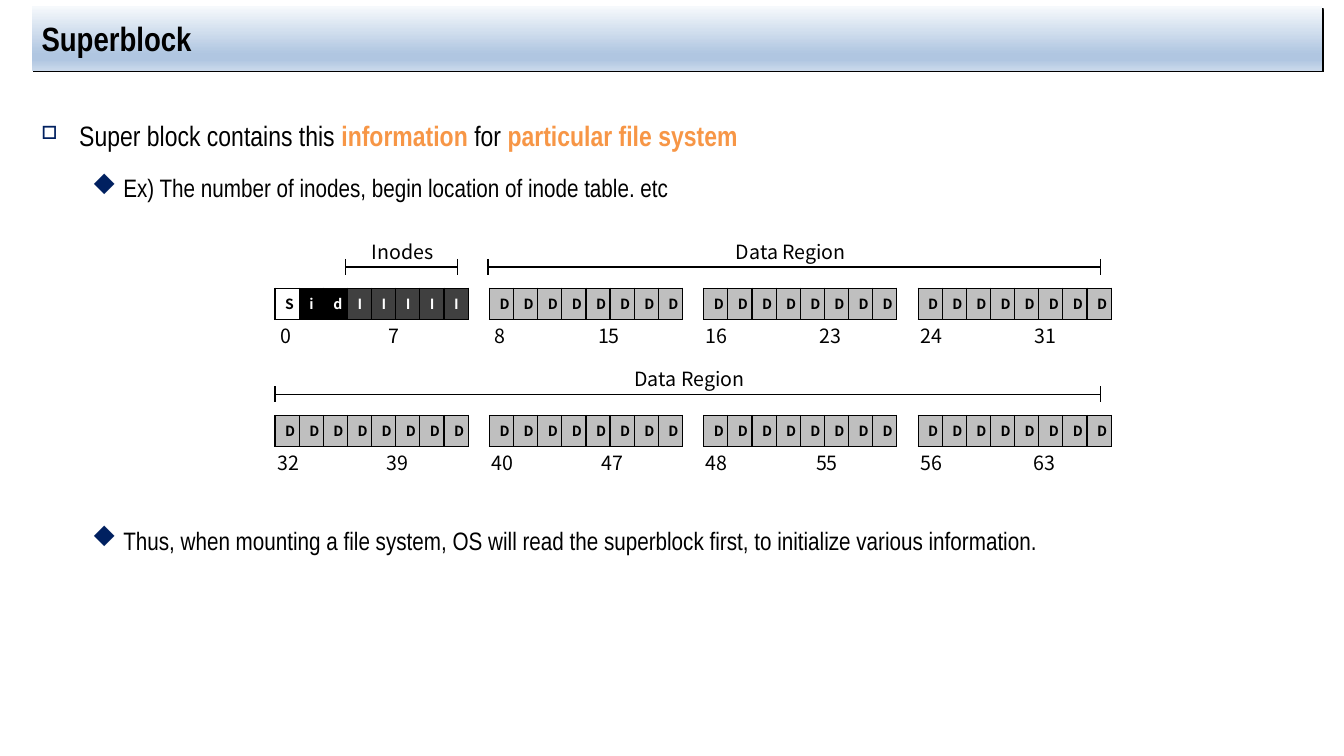
import pptx
import pptx.dml.color
import pptx.enum.shapes
import pptx.enum.text
import pptx.oxml
import pptx.util
from dataclasses import dataclass
from pptx.util import Pt

NAMESPACE = 'xmlns:a="http://schemas.openxmlformats.org/drawingml/2006/main"'


@dataclass(frozen=True)
class Theme:
    heading_font: str = "Arial Narrow"
    diagram_font: str = "Noto Sans CJK KR"
    bullet_font: str = "Wingdings"
    black: str = "000000"
    white: str = "FFFFFF"
    accent: str = "F79646"
    bullet: str = "002060"
    inode: str = "404040"
    data: str = "BFBFBF"
    title_stops: tuple = ((0, "F6F9FC"), (74, "B0C6E1"), (83, "B0C6E1"), (100, "CAD9EB"))
    title_size: int = 24
    body_size: int = 20
    detail_size: int = 18
    label_size: int = 14
    cell_size: int = 10


THEME = Theme()

# Wingdings codes of the bullet symbols
SQUARE, DIAMOND = "o", "u"

# Block groups: first number, last number, x of the last number from the group's left
TOP_GROUPS = [("0", "7", 81.4), ("8", "15", 77.7), ("16", "23", 83.1), ("24", "31", 83.5)]
BOTTOM_GROUPS = [("32", "39", 79.9), ("40", "47", 80.2), ("48", "55", 80.3), ("56", "63", 82.8)]
GROUP_WIDTH, GROUP_HEIGHT, GROUP_PITCH = 131.2, 22.3, 153.1


def xml(text):
    return pptx.oxml.parse_xml(text.replace(" NS", " " + NAMESPACE, 1))


def color(value):
    return pptx.dml.color.RGBColor.from_string(value)


def add_text(paragraph, text, font=THEME.diagram_font, size=THEME.label_size,
             fill=THEME.black, bold=False):
    run = paragraph.add_run()
    run.text = text
    run.font.name = font
    run.font.size = Pt(size)
    run.font.bold = bold
    run.font.color.rgb = color(fill)


def add_text_box(slide, left, top, width, height):
    frame = slide.shapes.add_textbox(Pt(left), Pt(top), Pt(width), Pt(height)).text_frame
    frame.word_wrap = True
    return frame


def add_line(slide, x1, y1, x2, y2):
    connector = slide.shapes.add_connector(
        pptx.enum.shapes.MSO_CONNECTOR.STRAIGHT, Pt(x1), Pt(y1), Pt(x2), Pt(y2))
    connector.line.color.rgb = color(THEME.black)
    connector.line.width = Pt(1)
    connector._element.spPr.append(xml("<a:effectLst NS/>"))


def add_title(slide, left, top, width, height):
    title = slide.shapes.title
    title.left, title.top, title.width, title.height = Pt(left), Pt(top), Pt(width), Pt(height)
    frame = title.text_frame
    frame.vertical_anchor = pptx.enum.text.MSO_ANCHOR.MIDDLE
    frame.paragraphs[0].alignment = pptx.enum.text.PP_ALIGN.LEFT
    add_text(frame.paragraphs[0], "Superblock", font=THEME.heading_font,
             size=THEME.title_size, bold=True)
    # Gradient and thin shadow along the right and bottom edges
    stops = "".join(f'<a:gs pos="{position * 1000}"><a:srgbClr val="{value}"/></a:gs>'
                    for position, value in THEME.title_stops)
    properties = title._element.spPr
    properties.append(xml('<a:prstGeom NS prst="rect"><a:avLst/></a:prstGeom>'))
    properties.append(xml(f'<a:gradFill NS rotWithShape="1"><a:gsLst>{stops}</a:gsLst>'
                          '<a:lin ang="5400000" scaled="0"/></a:gradFill>'))
    properties.append(xml(f'<a:effectLst NS><a:outerShdw dist="{Pt(1.4)}" dir="2700000" '
                          f'algn="tl" rotWithShape="0"><a:srgbClr val="{THEME.black}"/>'
                          '</a:outerShdw></a:effectLst>'))


def format_bullet(paragraph, symbol, margin, hanging, scale, level, space_before):
    paragraph.level = level
    paragraph.line_spacing = 1.5
    paragraph.space_before = Pt(space_before)
    properties = paragraph._p.get_or_add_pPr()
    properties.set("marL", str(Pt(margin)))
    properties.set("indent", str(-Pt(hanging)))
    properties.append(xml(f'<a:buClr NS><a:srgbClr val="{THEME.bullet}"/></a:buClr>'))
    properties.append(xml(f'<a:buSzPct NS val="{scale * 1000}"/>'))
    properties.append(xml(f'<a:buFont NS typeface="{THEME.bullet_font}" '
                          'pitchFamily="2" charset="2"/>'))
    properties.append(xml(f'<a:buChar NS char="{symbol}"/>'))


def add_body(slide, left, top, width, height):
    frame = add_text_box(slide, left, top, width, height)
    statement = frame.paragraphs[0]
    format_bullet(statement, SQUARE, 27, 27, 65, 0, 4)
    for text, emphasis in [("Super block contains this ", False), ("information ", True),
                           ("for ", False), ("particular file system", True)]:
        add_text(statement, text, font=THEME.heading_font, size=THEME.body_size, bold=emphasis,
                 fill=THEME.accent if emphasis else THEME.black)
    # The second detail stands below the diagram
    for text, space_before in [
            ("Ex) The number of inodes, begin location of inode table. etc", 3.6),
            ("Thus, when mounting a file system, OS will read the superblock first, "
             "to initialize various information.", 219.6)]:
        detail = frame.add_paragraph()
        format_bullet(detail, DIAMOND, 58.5, 22.5, 100, 1, space_before)
        add_text(detail, text, font=THEME.heading_font, size=THEME.detail_size)


def add_group(slide, left, top, letters):
    styles = {"S": (THEME.white, THEME.black), "i": (THEME.black, THEME.white),
              "d": (THEME.black, THEME.white), "I": (THEME.inode, THEME.white),
              "D": (THEME.data, THEME.black)}
    table = slide.shapes.add_table(1, len(letters), Pt(left), Pt(top),
                                   Pt(GROUP_WIDTH), Pt(GROUP_HEIGHT)).table
    table.first_row = table.horz_banding = False
    for cell, letter in zip(table.iter_cells(), letters):
        background, foreground = styles[letter]
        cell.fill.solid()
        cell.fill.fore_color.rgb = color(background)
        paragraph = cell.text_frame.paragraphs[0]
        paragraph.alignment = pptx.enum.text.PP_ALIGN.CENTER
        add_text(paragraph, letter, size=THEME.cell_size, fill=foreground, bold=True)
        for index, side in enumerate("LRTB"):
            cell._tc.tcPr.insert(index, xml(
                f'<a:ln{side} NS w="{Pt(1)}"><a:solidFill><a:srgbClr val="{THEME.black}"/>'
                f'</a:solidFill></a:ln{side}>'))


def add_numbers(slide, left, top, first, last, last_offset):
    shift = 3.4 if len(first) == 1 else 5.6
    frame = add_text_box(slide, left - shift, top, 148, 24.5)
    paragraph = frame.paragraphs[0]
    tab = Pt(last_offset + shift - 7.2)
    paragraph._p.get_or_add_pPr().append(
        xml(f'<a:tabLst NS><a:tab pos="{tab}" algn="l"/></a:tabLst>'))
    add_text(paragraph, f"{first}\t{last}")


def add_bracket(slide, left, right, middle, text, text_left):
    add_line(slide, left, middle, right, middle)
    for end in (left, right):
        add_line(slide, end, middle - 5.8, end, middle + 5.8)
    frame = add_text_box(slide, text_left, middle - 23.1, 98, 24.5)
    add_text(frame.paragraphs[0], text)


def add_block_row(slide, left, top, groups, first_letters, brackets):
    for start, end, text, text_offset in brackets:
        add_bracket(slide, left + start, left + end, top + 23.1, text, left + text_offset)
    for index, (first, last, last_offset) in enumerate(groups):
        group_left = left + index * GROUP_PITCH
        add_group(slide, group_left, top + 38.2, first_letters if index == 0 else "D" * 8)
        add_numbers(slide, group_left, top + 60.2, first, last, last_offset)


def main():
    presentation = pptx.Presentation()
    presentation.slide_width, presentation.slide_height = Pt(960), Pt(540)
    slide = presentation.slides.add_slide(presentation.slide_layouts[5])
    add_title(slide, 22.5, 4.5, 922, 46)
    add_body(slide, 22.5, 69, 922, 433.5)
    # Disk layout: upper and lower row of blocks; brackets are start, end, text, text offset
    add_block_row(slide, 196.5, 167.7, TOP_GROUPS, "SidIIIII",
                  [(50.5, 130.4, "Inodes", 62), (152, 589.7, "Data Region", 322)])
    add_block_row(slide, 196.5, 258.5, BOTTOM_GROUPS, "D" * 8,
                  [(0, 589.7, "Data Region", 249.6)])
    presentation.save("out.pptx")


if __name__ == "__main__":
    main()
